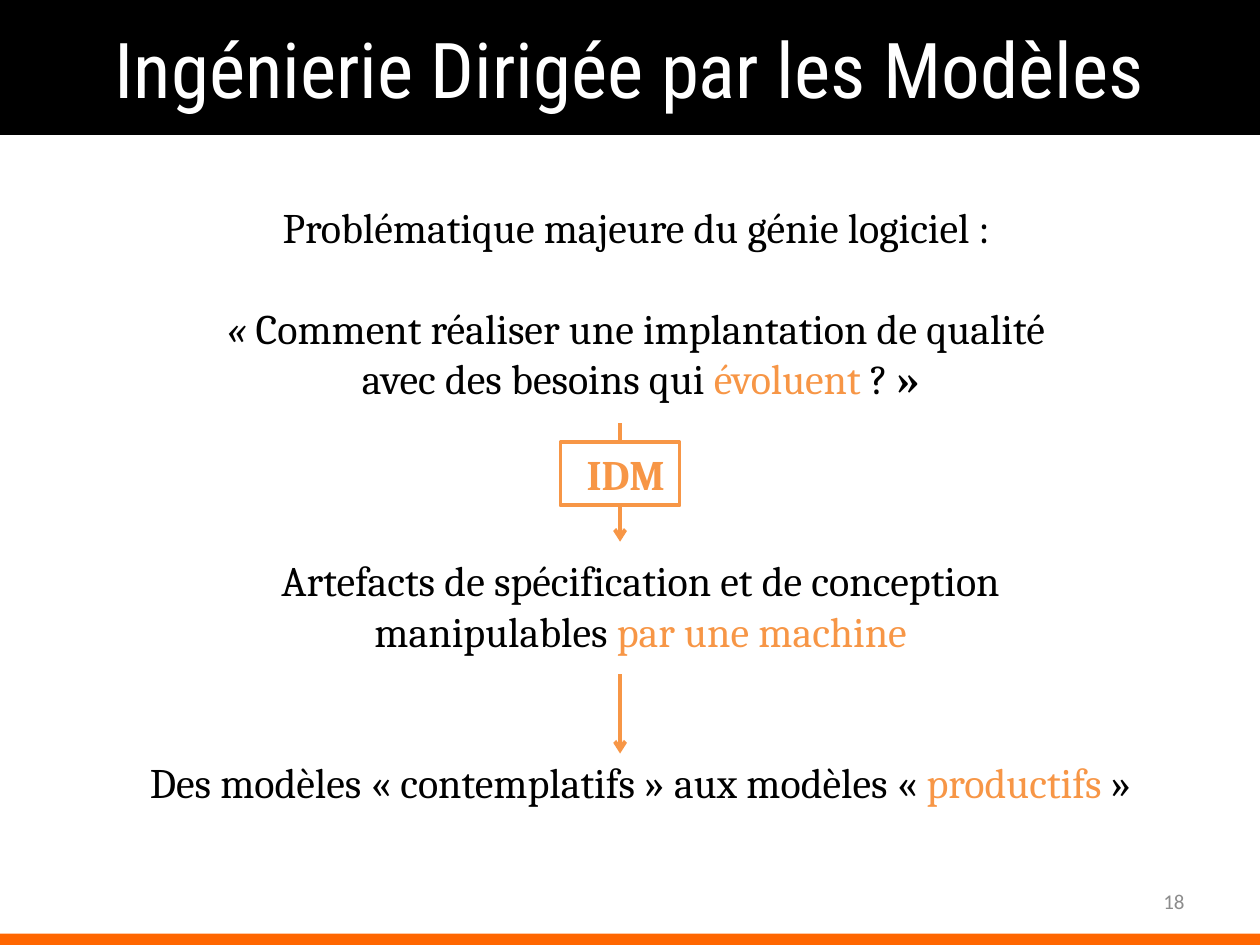
"""Build the slide on model-driven engineering."""
from pptx import Presentation
from pptx import util as u
from pptx.dml import color
from pptx.enum import shapes, text
from pptx.oxml import ns
from lxml import etree

BLACK, WHITE, ORANGE = "000000", "FFFFFF", "F79646"
LINE = 28.85
WIDE, HIGH = 25.4, 19.05


def hue(code):
    return color.RGBColor.from_string(code)


def apply(item, values):
    for key, value in values.items():
        setattr(item, key, value)


class Deck:
    def __init__(self, slide):
        self.slide = slide
        self.body = {"name": "Cambria", "size": u.Pt(24)}
        self.stroke = {"width": u.Pt(2.25)}

    def fill_in(self, shape, rows, font=None, align=text.PP_ALIGN.CENTER,
                indent=0, **frame):
        tf = shape.text_frame
        apply(tf, {"word_wrap": True, **frame})
        for n, (gap, runs) in enumerate(rows):
            para = tf.add_paragraph() if n else tf.paragraphs[0]
            para.alignment = align
            if gap:
                para.space_before = u.Pt(gap * LINE)
            if indent:
                para._p.get_or_add_pPr().set("indent", str(u.Cm(indent)))
            for words, code, *extra in runs:
                run = para.add_run()
                run.text = words
                apply(run.font, font or self.body)
                for style in extra:
                    apply(run.font, style)
                run.font.color.rgb = hue(code)

    def box(self, place, fill, edge=None):
        shape = self.slide.shapes.add_shape(
            shapes.MSO_SHAPE.RECTANGLE, *map(u.Cm, place))
        shape.shadow.inherit = False
        shape.fill.solid()
        shape.fill.fore_color.rgb = hue(fill)
        if edge:
            apply(shape.line, self.stroke)
            shape.line.color.rgb = hue(edge)
        else:
            shape.line.fill.background()
        return shape

    def label(self, place):
        return self.slide.shapes.add_textbox(*map(u.Cm, place))

    def arrow(self, x, top, end):
        link = self.slide.shapes.add_connector(
            shapes.MSO_CONNECTOR.STRAIGHT, *map(u.Cm, (x, top, x, end)))
        apply(link.line, self.stroke)
        link.line.color.rgb = hue(ORANGE)
        etree.SubElement(link.line._ln, ns.qn("a:tailEnd"), type="arrow")
        etree.SubElement(link._element.spPr, ns.qn("a:effectLst"))


def main():
    prs = Presentation()
    apply(prs, {"slide_width": u.Cm(WIDE), "slide_height": u.Cm(HIGH)})
    deck = Deck(prs.slides.add_slide(prs.slide_layouts[6]))
    middle = {"vertical_anchor": text.MSO_ANCHOR.MIDDLE}
    axis = 12.5

    deck.fill_in(deck.box((0, 0, WIDE, 2.72), BLACK),
                 [(0, [("Ingénierie Dirigée par les Modèles", WHITE)])],
                 {"name": "Roboto Condensed", "size": u.Pt(44)}, **middle)

    deck.fill_in(deck.label((1.5, 3.94, 22.6, 13)), [
        (0, [("Problématique majeure du génie logiciel : ", BLACK)]),
        (1, [("« ", BLACK, {"italic": True}),
             ("Comment réaliser une implantation de qualité ", BLACK)]),
        (0, [("avec des besoins qui ", BLACK), ("évoluent", ORANGE),
             (" ? ", BLACK), ("»", BLACK, {"bold": True})]),
        (3, [("Artefacts de spécification et de conception", BLACK)]),
        (0, [("manipulables ", BLACK), ("par une machine", ORANGE)]),
        (2, [("Des modèles « contemplatifs » aux modèles « ", BLACK),
             ("productifs", ORANGE), (" »", BLACK)]),
    ], indent=0.23)

    deck.arrow(axis, 8.53, 10.92)
    deck.fill_in(deck.box((axis - 1.2, 8.92, 2.4, 1.27), WHITE, ORANGE),
                 [(0, [("IDM", ORANGE, {"bold": True})])], indent=0.23,
                 word_wrap=False, vertical_anchor=text.MSO_ANCHOR.TOP)
    deck.arrow(axis, 13.59, 15.19)

    deck.fill_in(deck.label((18.2, 17.65, 5.93, 1.02)),
                 [(0, [("18", "8C8C8C")])],
                 {"name": "Calibri", "size": u.Pt(12)},
                 text.PP_ALIGN.RIGHT, **middle)
    deck.box((0, 18.82, WIDE, HIGH - 18.82), "FF6600")
    prs.save("out.pptx")


if __name__ == "__main__":
    main()
